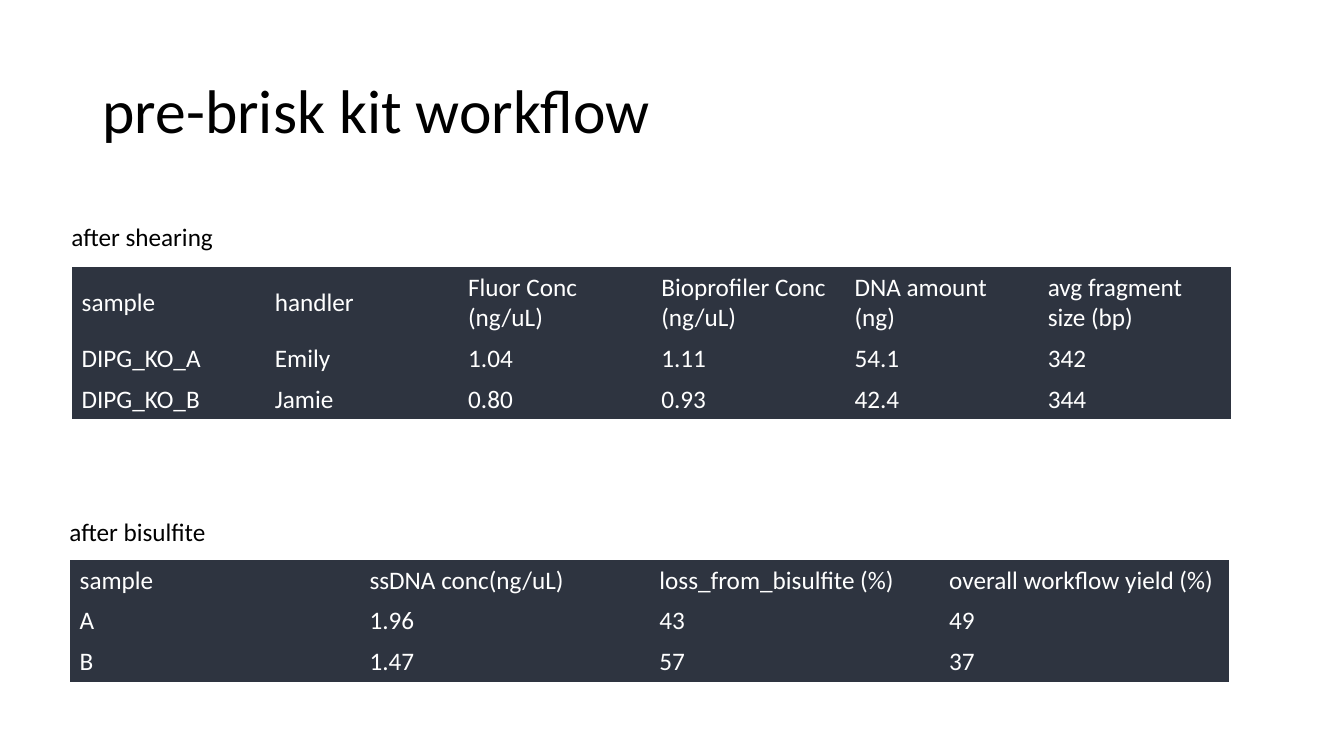
from dataclasses import dataclass

from pptx import Presentation
from pptx.dml.color import RGBColor
from pptx.enum.text import MSO_ANCHOR
from pptx.oxml.ns import qn
from pptx.util import Inches, Pt

MIDDLE = MSO_ANCHOR.MIDDLE
TOP = MSO_ANCHOR.TOP
PLAIN = "{2D5ABB26-0587-4C30-8999-92F81FD0307C}"


@dataclass
class Theme:
    font: str = "Calibri"
    ink: RGBColor = RGBColor(0, 0, 0)
    pale: RGBColor = RGBColor(255, 255, 255)
    dark: RGBColor = RGBColor(0x2E, 0x34, 0x40)
    title: int = 44
    body: int = 18


class Maker:
    """Draws styled text and tables on one slide."""

    def __init__(self, slide, theme):
        self.slide = slide
        self.theme = theme

    def add_words(self, para, words, size, color):
        run = para.add_run()
        run.text = words
        font = run.font
        font.name = self.theme.font
        font.size = Pt(size)
        font.bold = False
        font.color.rgb = color

    def text(self, words, box, size, anchor=TOP, wrap=False, space=1.0):
        shape = self.slide.shapes.add_textbox(*map(Inches, box))
        frame = shape.text_frame
        frame.word_wrap = wrap
        frame.vertical_anchor = anchor
        para = frame.paragraphs[0]
        para.line_spacing = space
        self.add_words(para, words, size, self.theme.ink)

    def table(self, rows, left, top, width, tall):
        count = len(rows[0])
        frame = self.slide.shapes.add_table(
            len(rows), count, Inches(left), Inches(top), Inches(width), Inches(sum(tall)))
        table = frame.table
        table.first_row = False
        table.horz_banding = False
        table._tbl.tblPr.find(qn("a:tableStyleId")).text = PLAIN
        for column in table.columns:
            column.width = Inches(width / count)
        for line, height, values in zip(table.rows, tall, rows):
            line.height = Inches(height)
            for cell, value in zip(line.cells, values):
                cell.fill.solid()
                cell.fill.fore_color.rgb = self.theme.dark
                cell.vertical_anchor = MIDDLE
                self.add_words(cell.text_frame.paragraphs[0], value,
                               self.theme.body, self.theme.pale)


SHEAR = [
    ["sample", "handler", "Fluor Conc (ng/uL)", "Bioprofiler Conc (ng/uL)",
     "DNA amount (ng)", "avg fragment size (bp)"],
    ["DIPG_KO_A", "Emily", "1.04", "1.11", "54.1", "342"],
    ["DIPG_KO_B", "Jamie", "0.80", "0.93", "42.4", "344"],
]
YIELD = [
    ["sample", "ssDNA conc(ng/uL)", "loss_from_bisulfite (%)",
     "overall workflow yield (%)"],
    ["A", "1.96", "43", "49"],
    ["B", "1.47", "57", "37"],
]


def main():
    deck = Presentation()
    deck.slide_width = Inches(13.33)
    deck.slide_height = Inches(7.5)
    theme = Theme()
    maker = Maker(deck.slides.add_slide(deck.slide_layouts[6]), theme)
    maker.text("pre-brisk kit workflow", (0.92, 0.4, 11.5, 1.45), theme.title,
               MIDDLE, True, 0.9)
    maker.table(SHEAR, 0.71, 2.65, 11.5, [0.71, 0.4, 0.4])
    maker.table(YIELD, 0.69, 5.56, 11.5, [0.4] * 3)
    maker.text("after shearing", (0.61, 2.15, 1.63, 0.4), theme.body)
    maker.text("after bisulfite", (0.59, 5.07, 1.57, 0.4), theme.body)
    deck.save("out.pptx")


if __name__ == "__main__":
    main()
